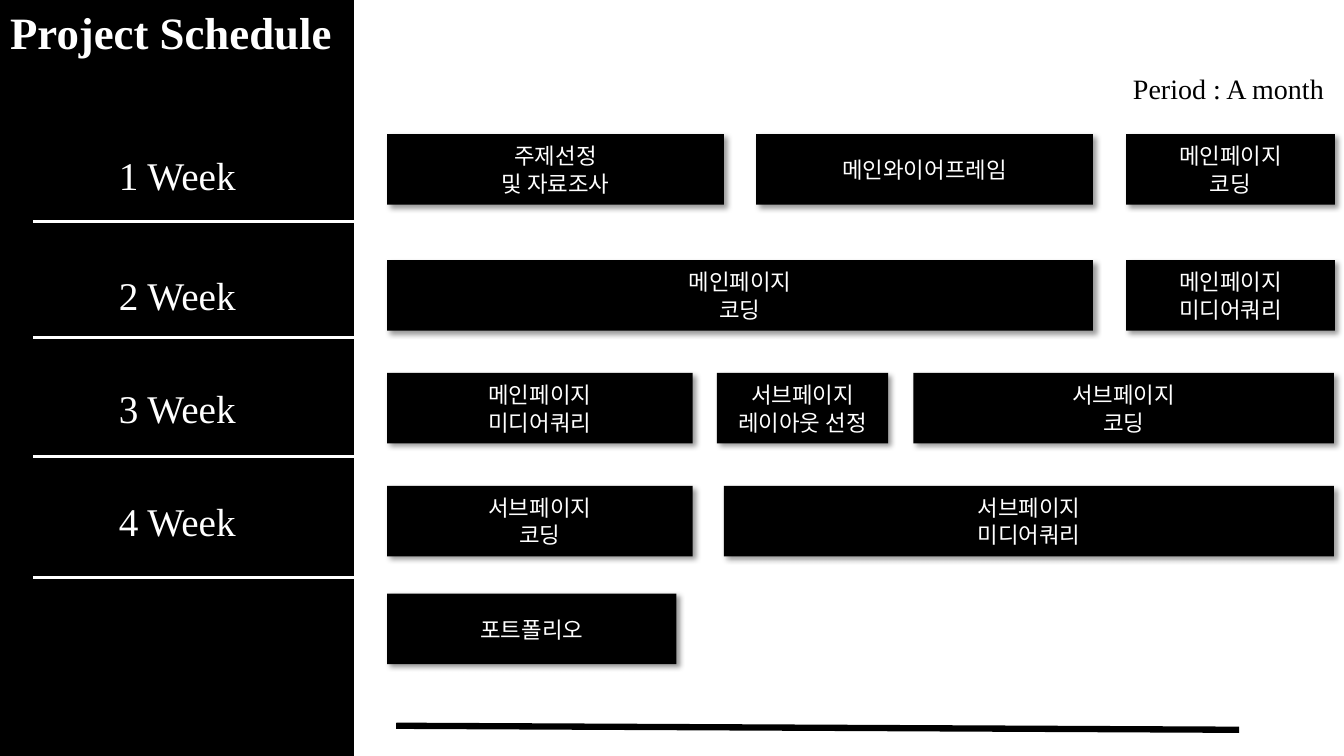
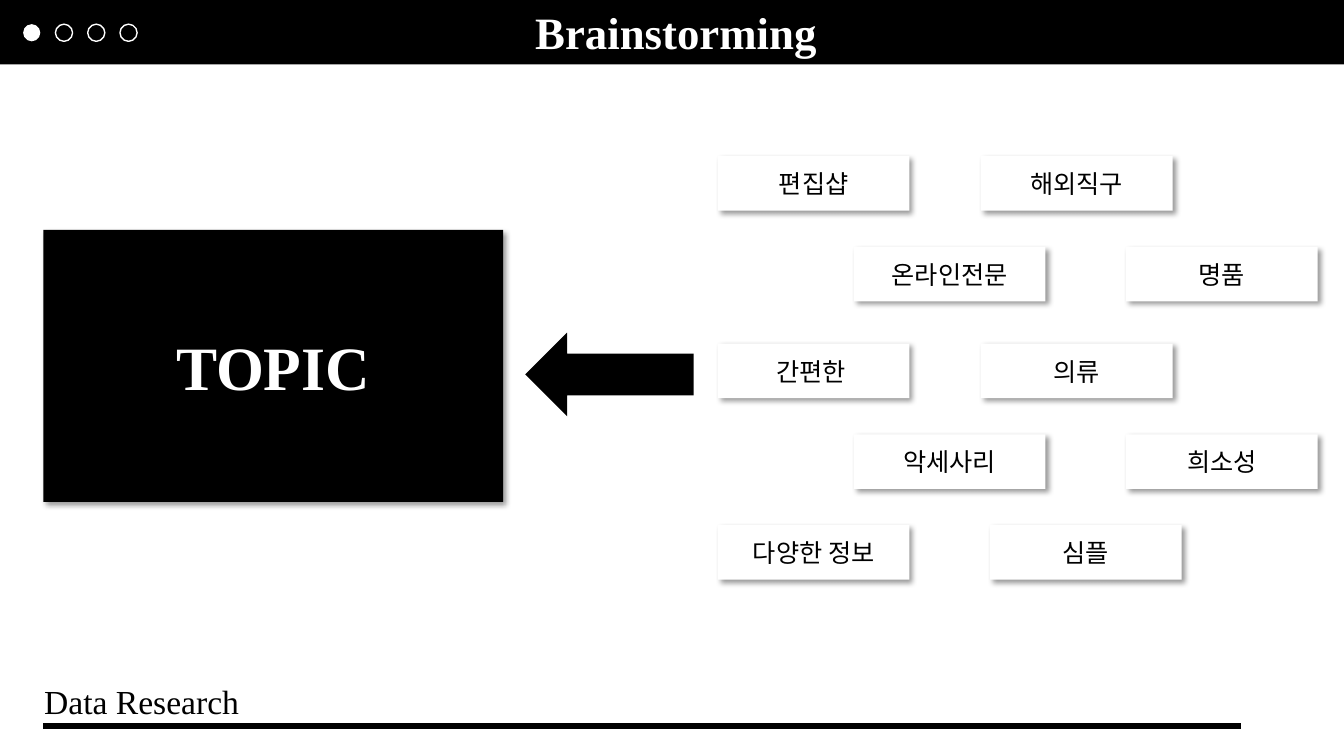
from dataclasses import dataclass

from lxml import etree
from pptx import Presentation
from pptx.dml.color import RGBColor
from pptx.enum.shapes import MSO_CONNECTOR, MSO_SHAPE
from pptx.enum.text import MSO_ANCHOR, MSO_AUTO_SIZE, PP_ALIGN
from pptx.oxml.ns import qn
from pptx.util import Inches, Pt

RECT, OVAL, LEFT_ARROW = MSO_SHAPE.RECTANGLE, MSO_SHAPE.OVAL, MSO_SHAPE.LEFT_ARROW
STRAIGHT = MSO_CONNECTOR.STRAIGHT
LEFT, CENTER, RIGHT = PP_ALIGN.LEFT, PP_ALIGN.CENTER, PP_ALIGN.RIGHT
TOP, MIDDLE = MSO_ANCHOR.TOP, MSO_ANCHOR.MIDDLE
NO_AUTOSIZE = MSO_AUTO_SIZE.NONE


@dataclass(frozen=True)
class Theme:
    black: RGBColor = RGBColor(0, 0, 0)
    white: RGBColor = RGBColor(255, 255, 255)
    serif: str = "Times New Roman"
    korean: str = "Noto Sans CJK KR"
    leading: float = 1.22  # Korean line pitch as a share of the type size
    title: int = 32
    topic: int = 44
    week: int = 28
    footer: int = 24
    period: int = 20
    keyword: int = 18
    task: int = 16
    thick: float = 4.5
    rule: float = 2.25
    thin: float = 1


T = Theme()
W, H = 13.33, 7.5
BAND_H = 0.64
TITLE_W = 4.37

# Schedule: row top, then (left, width, text) for each task
SIDEBAR_W, TASK_LEFT, TASK_H = 3.51, 3.84, 0.7
SCHEDULE = [
    (1.33, [(TASK_LEFT, 3.34, "주제선정\n및 자료조사"),
            (7.5, 3.34, "메인와이어프레임"),
            (11.17, 2.07, "메인페이지\n코딩")]),
    (2.58, [(TASK_LEFT, 7, "메인페이지\n코딩"),
            (11.17, 2.07, "메인페이지\n미디어쿼리")]),
    (3.7, [(TASK_LEFT, 3.03, "메인페이지\n미디어쿼리"),
           (7.11, 1.7, "서브페이지\n레이아웃 선정"),
           (9.06, 4.17, "서브페이지\n코딩")]),
    (4.82, [(TASK_LEFT, 3.03, "서브페이지\n코딩"),
            (7.18, 6.05, "서브페이지\n미디어쿼리")]),
    (5.89, [(TASK_LEFT, 2.87, "포트폴리오")]),
]
# Week: label, label top, rule below it
WEEKS = [("1 Week", 1.45, 2.2), ("2 Week", 2.64, 3.35),
         ("3 Week", 3.76, 4.53), ("4 Week", 4.88, 5.73)]

# Keywords: row top, then (left, text); odd rows are set in
KEYWORD_W, KEYWORD_H = 1.9, 0.54
KEYWORDS = [
    (1.55, [(7.12, "편집샵"), (9.73, "해외직구")]),
    (2.45, [(8.47, "온라인전문"), (11.17, "명품")]),
    (3.41, [(7.12, "간편한 "), (9.73, "의류")]),
    (4.31, [(8.47, "악세사리"), (11.17, "희소성")]),
    (5.21, [(7.12, "다양한 정보"), (9.82, "심플")]),
]
DOTS, DOT_LEFT, DOT_STEP, DOT_SIZE = 4, 0.23, 0.32, 0.17


def place(sp, x, y, w, h):
    sp.left, sp.top, sp.width, sp.height = (Inches(v) for v in (x, y, w, h))


def write(sp, text, size, color, font=T.serif, bold=False, align=LEFT, anchor=TOP):
    tf = sp.text_frame
    tf.text = text
    tf.word_wrap = True
    tf.auto_size = NO_AUTOSIZE
    tf.vertical_anchor = anchor
    for p in tf.paragraphs:
        p.alignment = align
        if font == T.korean:
            p.line_spacing = Pt(size * T.leading)
        for r in p.runs:
            r.font.name, r.font.size, r.font.bold = font, Pt(size), bold
            r.font.color.rgb = color
            if font == T.korean:
                etree.SubElement(r._r.get_or_add_rPr(), qn("a:ea"), typeface=font)


def add_label(s, x, y, w, h, text, size, color, align=LEFT):
    sp = s.shapes.add_textbox(*(Inches(v) for v in (x, y, w, h)))
    write(sp, text, size, color, align=align)


def add_block(s, x, y, w, h, fill=None, kind=RECT, outline=None):
    sp = s.shapes.add_shape(kind, *(Inches(v) for v in (x, y, w, h)))
    sp.shadow.inherit = False
    if fill is None:
        sp.fill.background()
    else:
        sp.fill.solid()
        sp.fill.fore_color.rgb = fill
    if outline is None:
        sp.line.fill.background()
    else:
        sp.line.color.rgb = outline
        sp.line.width = Pt(T.thin)
    return sp


def add_card(s, x, y, w, h, fill, text, size, color, font=T.korean, bold=False):
    """A block with centred text and a soft shadow to the lower right."""
    sp = add_block(s, x, y, w, h, fill)
    effects = sp._element.spPr.find(qn("a:effectLst"))
    shadow = etree.SubElement(effects, qn("a:outerShdw"), blurRad=str(Pt(4)),
                              dist=str(Pt(3)), dir=str(45 * 60000),
                              algn="tl", rotWithShape="0")
    tint = etree.SubElement(shadow, qn("a:srgbClr"), val=str(T.black))
    etree.SubElement(tint, qn("a:alpha"), val="40000")
    write(sp, text, size, color, font, bold, CENTER, MIDDLE)


def add_line(s, x1, y1, x2, y2, color, width):
    c = s.shapes.add_connector(STRAIGHT, *(Inches(v) for v in (x1, y1, x2, y2)))
    c.line.color.rgb = color
    c.line.width = Pt(width)
    etree.SubElement(c._element.spPr, qn("a:effectLst"))


def add_slide(prs, title, band_w, band_h, title_x, align):
    """A title-only slide with a black band behind its title."""
    s = prs.slides.add_slide(prs.slide_layouts[5])
    add_block(s, 0, 0, band_w, band_h, T.black)
    sp = s.shapes.title
    s.shapes._spTree.append(sp._element)
    place(sp, title_x, 0, TITLE_W, BAND_H)
    write(sp, title, T.title, T.white, bold=True, align=align)
    return s


def build_schedule(prs):
    s = add_slide(prs, "Project Schedule", SIDEBAR_W, H, 0, LEFT)
    add_line(s, 3.93, 7.2, 12.29, 7.24, T.black, T.thick)
    # Weeks in the sidebar
    for week, label_y, rule_y in WEEKS:
        add_label(s, 1.08, label_y, 2.62, 0.57, week, T.week, T.white)
        add_line(s, 0.33, rule_y, TASK_LEFT, rule_y, T.white, T.rule)
    # Tasks
    for y, tasks in SCHEDULE:
        for x, w, text in tasks:
            add_card(s, x, y, w, TASK_H, T.black, text, T.task, T.white)
    add_label(s, 9.6, 0.66, 3.63, 0.44, "Period : A month", T.period, T.black, RIGHT)


def build_brainstorming(prs):
    s = add_slide(prs, "Brainstorming", W, BAND_H, 4.52, CENTER)
    # Footer
    add_label(s, 0.34, 6.71, 3.94, 0.5, "Data Research", T.footer, T.black)
    add_line(s, 0.43, 7.2, 12.31, 7.2, T.black, T.thick)
    # Progress dots, the first one filled
    for i in range(DOTS):
        fill, outline = (None, T.white) if i else (T.white, None)
        add_block(s, DOT_LEFT + i * DOT_STEP, 0.24, DOT_SIZE, DOT_SIZE,
                  fill, OVAL, outline)
    # Topic, arrow and keywords
    add_card(s, 0.43, 2.28, 4.56, 2.7, T.black, "TOPIC", T.topic, T.white,
             T.serif, True)
    add_block(s, 5.21, 3.3, 1.67, 0.83, T.black, LEFT_ARROW)
    for y, words in KEYWORDS:
        for x, word in words:
            add_card(s, x, y, KEYWORD_W, KEYWORD_H, T.white, word, T.keyword, T.black)


def main():
    prs = Presentation()
    prs.slide_width, prs.slide_height = Inches(W), Inches(H)
    build_schedule(prs)
    build_brainstorming(prs)
    prs.save("out.pptx")


if __name__ == "__main__":
    main()
